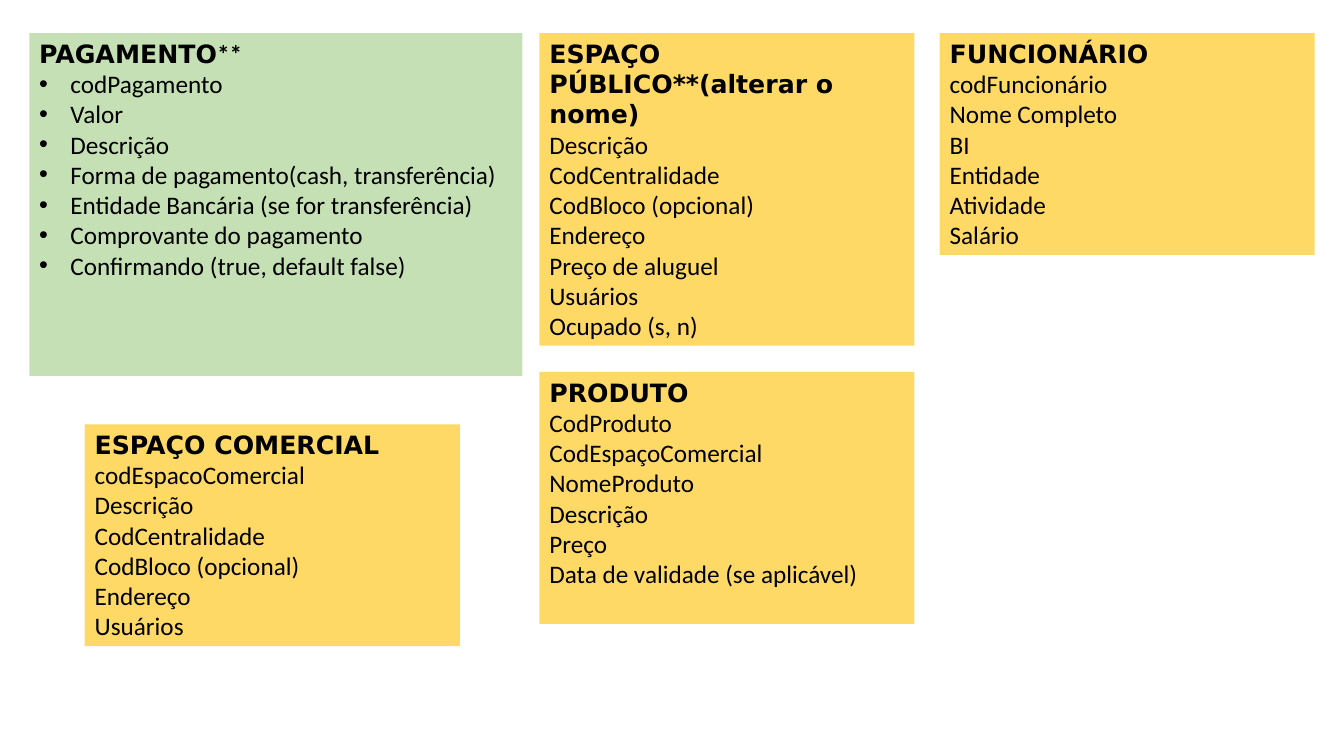
from lxml.etree import SubElement
from pptx import Presentation
from pptx.dml.color import RGBColor
from pptx.enum.text import MSO_ANCHOR, MSO_AUTO_SIZE
from pptx.oxml.ns import qn
from pptx.util import Inches, Pt

COLORS = {"entity": "FFD966", "payment": "C5E0B4", "text": "000000"}
HEADING_FONT, FIELD_FONT = "DejaVu Sans", "Calibri"
TEXT_SIZE = Pt(18)
TOP, ENTITY_WIDTH, MIDDLE_COLUMN = 0.33, 3.72, 5.35
BULLET_INDENT = Inches(0.31)

# Entities: heading, heading suffix, fields, (left, top, width, height), fill, bulleted
ENTITIES = [
    ("ESPAÇO PÚBLICO**(alterar o nome)", "",
     ["Descrição", "CodCentralidade", "CodBloco (opcional)", "Endereço",
      "Preço de aluguel", "Usuários", "Ocupado (s, n)"],
     (MIDDLE_COLUMN, TOP, ENTITY_WIDTH, 3.1), "entity", False),
    ("PAGAMENTO", "**",
     ["codPagamento", "Valor", "Descrição",
      "Forma de pagamento(cash, transferência)",
      "Entidade Bancária (se for transferência)",
      "Comprovante do pagamento", "Confirmando (true, default false)"],
     (0.29, TOP, 4.89, 3.4), "payment", True),
    ("FUNCIONÁRIO", "",
     ["codFuncionário", "Nome Completo", "BI", "Entidade", "Atividade", "Salário"],
     (9.32, TOP, ENTITY_WIDTH, 2.2), "entity", False),
    ("ESPAÇO COMERCIAL", "",
     ["codEspacoComercial", "Descrição", "CodCentralidade",
      "CodBloco (opcional)", "Endereço", "Usuários"],
     (0.84, 4.21, ENTITY_WIDTH, 2.2), "entity", False),
    ("PRODUTO", "",
     ["CodProduto", "CodEspaçoComercial", "NomeProduto", "Descrição", "Preço",
      "Data de validade (se aplicável)"],
     (MIDDLE_COLUMN, 3.69, ENTITY_WIDTH, 2.5), "entity", False),
]


def style(font, name, bold):
    font.name, font.size, font.bold = name, TEXT_SIZE, bold
    font.color.rgb = RGBColor.from_string(COLORS["text"])


def add_bullet(paragraph):
    props = paragraph._p.get_or_add_pPr()
    props.set("marL", str(BULLET_INDENT))
    props.set("indent", str(-BULLET_INDENT))
    # Bullet children go ahead of the default run properties
    bullet_font = props.makeelement(qn("a:buFont"), {"typeface": "Arial"})
    bullet_char = props.makeelement(qn("a:buChar"), {"char": "•"})
    bullet_color = props.makeelement(qn("a:buClr"), {})
    SubElement(bullet_color, qn("a:srgbClr"), val=COLORS["text"])
    for place, part in enumerate((bullet_color, bullet_font, bullet_char)):
        props.insert(place, part)


def add_entity(slide, heading, suffix, fields, box, fill, bulleted):
    entity = slide.shapes.add_textbox(*map(Inches, box))
    entity.fill.solid()
    entity.fill.fore_color.rgb = RGBColor.from_string(COLORS[fill])
    frame = entity.text_frame
    frame.word_wrap = True
    frame.auto_size = MSO_AUTO_SIZE.NONE
    frame.vertical_anchor = MSO_ANCHOR.TOP

    # Heading
    title = frame.paragraphs[0]
    title.add_run().text = heading
    style(title.font, HEADING_FONT, True)
    if suffix:
        marker = title.add_run()
        marker.text = suffix
        marker.font.name = FIELD_FONT

    # Fields
    for field in fields:
        line = frame.add_paragraph()
        line.text = field
        style(line.font, FIELD_FONT, False)
        if bulleted:
            add_bullet(line)


def main():
    deck = Presentation()
    deck.slide_width, deck.slide_height = Inches(13.33), Inches(7.5)
    slide = deck.slides.add_slide(deck.slide_layouts[6])
    for entity in ENTITIES:
        add_entity(slide, *entity)
    deck.save("out.pptx")


if __name__ == "__main__":
    main()
